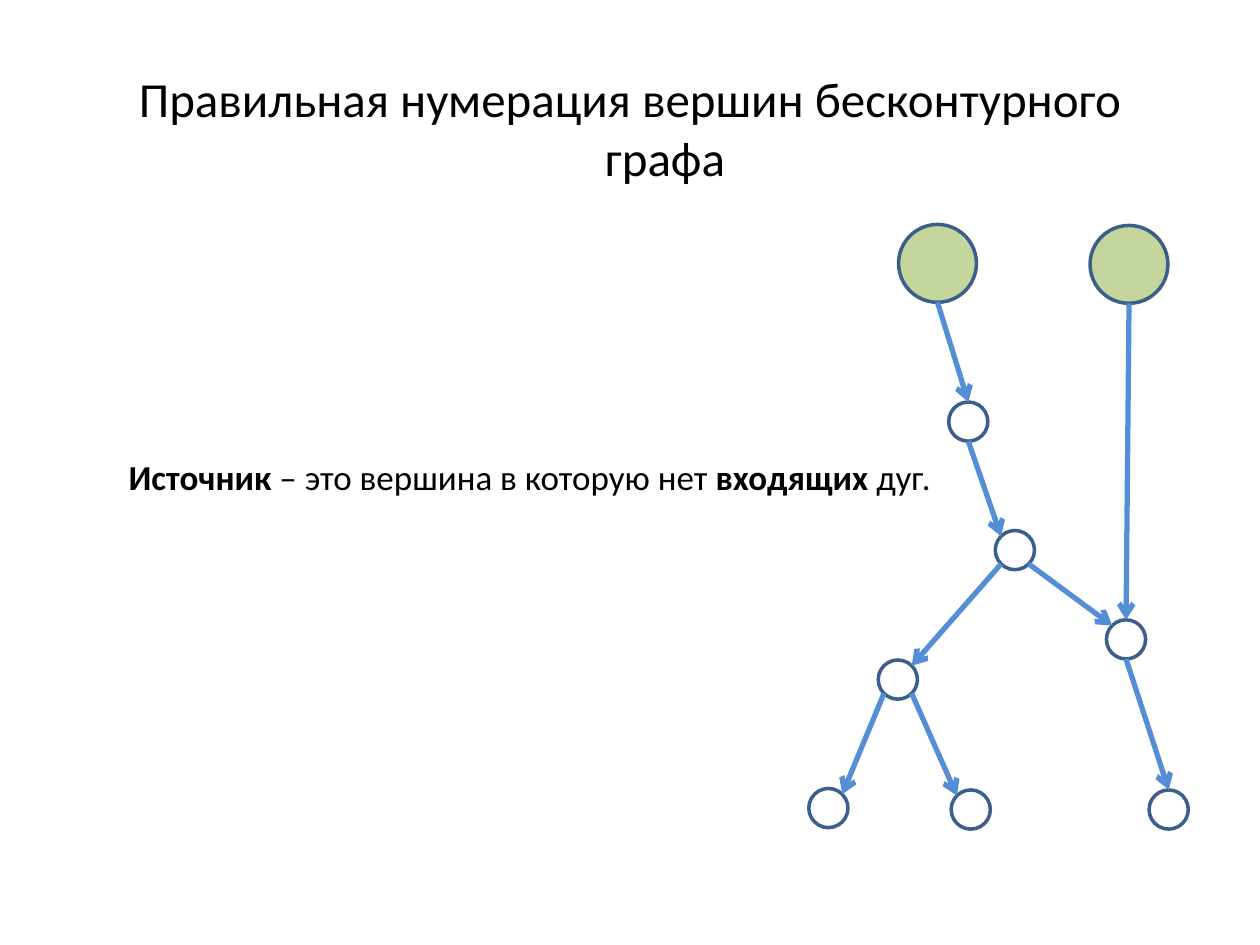
import math
import pptx
import pptx.util
import pptx.dml.color
import pptx.enum.shapes
import pptx.enum.text
import pptx.oxml
import pptx.oxml.ns
from pptx.util import Cm

RGBColor = pptx.dml.color.RGBColor
BLACK = RGBColor(0x00, 0x00, 0x00)
WHITE = RGBColor(0xFF, 0xFF, 0xFF)
GREEN = RGBColor(0xC3, 0xD6, 0x9B)
NAVY = RGBColor(0x3A, 0x5F, 0x8C)
BLUE = RGBColor(0x55, 0x8E, 0xD5)

SMALL, LARGE = 0.79, 1.57
NODES = {
    "left source": (18.9, 5.31, LARGE),
    "right source": (22.76, 5.33, LARGE),
    "upper": (19.52, 8.5, SMALL),
    "fork": (20.46, 11.09, SMALL),
    "merge": (22.7, 12.89, SMALL),
    "lower": (18.1, 13.7, SMALL),
    "left sink": (16.7, 16.29, SMALL),
    "middle sink": (19.57, 16.32, SMALL),
    "right sink": (23.56, 16.32, SMALL),
}
ANGLES = {"top": -90, "top left": -135, "top right": -45,
          "bottom": 90, "bottom left": 135, "bottom right": 45}
ARCS = [
    ("left source", "bottom", "upper", "top"),
    ("right source", "bottom", "merge", "top"),
    ("upper", "bottom", "fork", "top left"),
    ("fork", "bottom left", "lower", "top right"),
    ("fork", "bottom right", "merge", "top left"),
    ("lower", "bottom left", "left sink", "top right"),
    ("lower", "bottom right", "middle sink", "top left"),
    ("merge", "bottom", "right sink", "top"),
]


def place(shape, left, top, width, height):
    shape.left, shape.top = Cm(left), Cm(top)
    shape.width, shape.height = Cm(width), Cm(height)


def write(shape, parts, size, align, margin=0):
    frame = shape.text_frame
    frame.word_wrap = True
    frame.auto_size = pptx.enum.text.MSO_AUTO_SIZE.NONE
    frame.vertical_anchor = pptx.enum.text.MSO_ANCHOR.MIDDLE
    para = frame.paragraphs[0]
    para.alignment = align
    props = para._p.get_or_add_pPr()
    props.set("marL", str(Cm(margin)))
    props.set("indent", str(-Cm(margin)))
    props.append(pptx.oxml.parse_xml(
        f"<a:buNone {pptx.oxml.ns.nsdecls('a')}/>"))
    for text, bold in parts:
        run = para.add_run()
        run.text = text
        run.font.name = "Calibri"
        run.font.size = pptx.util.Pt(size)
        run.font.bold = bold
        run.font.color.rgb = BLACK


def add_node(slide, x, y, size):
    node = slide.shapes.add_shape(
        pptx.enum.shapes.MSO_SHAPE.OVAL,
        Cm(x - size / 2), Cm(y - size / 2), Cm(size), Cm(size))
    node.shadow.inherit = False
    node.fill.solid()
    node.fill.fore_color.rgb = GREEN if size == LARGE else WHITE
    node.line.color.rgb = NAVY
    node.line.width = pptx.util.Pt(2)


def rim(name, side):
    x, y, size = NODES[name]
    angle = math.radians(ANGLES[side])
    return (Cm(x + size / 2 * math.cos(angle)),
            Cm(y + size / 2 * math.sin(angle)))


def add_arc(slide, start, out, end, into):
    arc = slide.shapes.add_connector(
        pptx.enum.shapes.MSO_CONNECTOR.STRAIGHT,
        *rim(start, out), *rim(end, into))
    arc.line.color.rgb = BLUE
    arc.line.width = pptx.util.Pt(3)
    space = pptx.oxml.ns.nsdecls("a")
    arc.line._get_or_add_ln().append(
        pptx.oxml.parse_xml(f'<a:tailEnd {space} type="arrow"/>'))
    arc._element.spPr.append(
        pptx.oxml.parse_xml(f"<a:effectLst {space}/>"))


def main():
    deck = pptx.Presentation()
    deck.slide_width, deck.slide_height = Cm(25.4), Cm(19.05)
    slide = deck.slides.add_slide(deck.slide_layouts[1])
    title, body = slide.shapes.title, slide.placeholders[1]
    align = pptx.enum.text.PP_ALIGN
    place(title, 1.9, 0.53, 21.59, 4.09)
    write(title, [("Правильная нумерация вершин бесконтурного графа", False)],
          28, align.CENTER, 1.42)
    place(body, 2.34, 5.51, 21.59, 8.2)
    write(body, [("Источник", True),
                 (" – это вершина в которую нет ", False),
                 ("входящих", True), (" дуг.", False)], 20, align.LEFT)
    for node in NODES.values():
        add_node(slide, *node)
    for arc in ARCS:
        add_arc(slide, *arc)
    deck.save("out.pptx")


if __name__ == "__main__":
    main()
